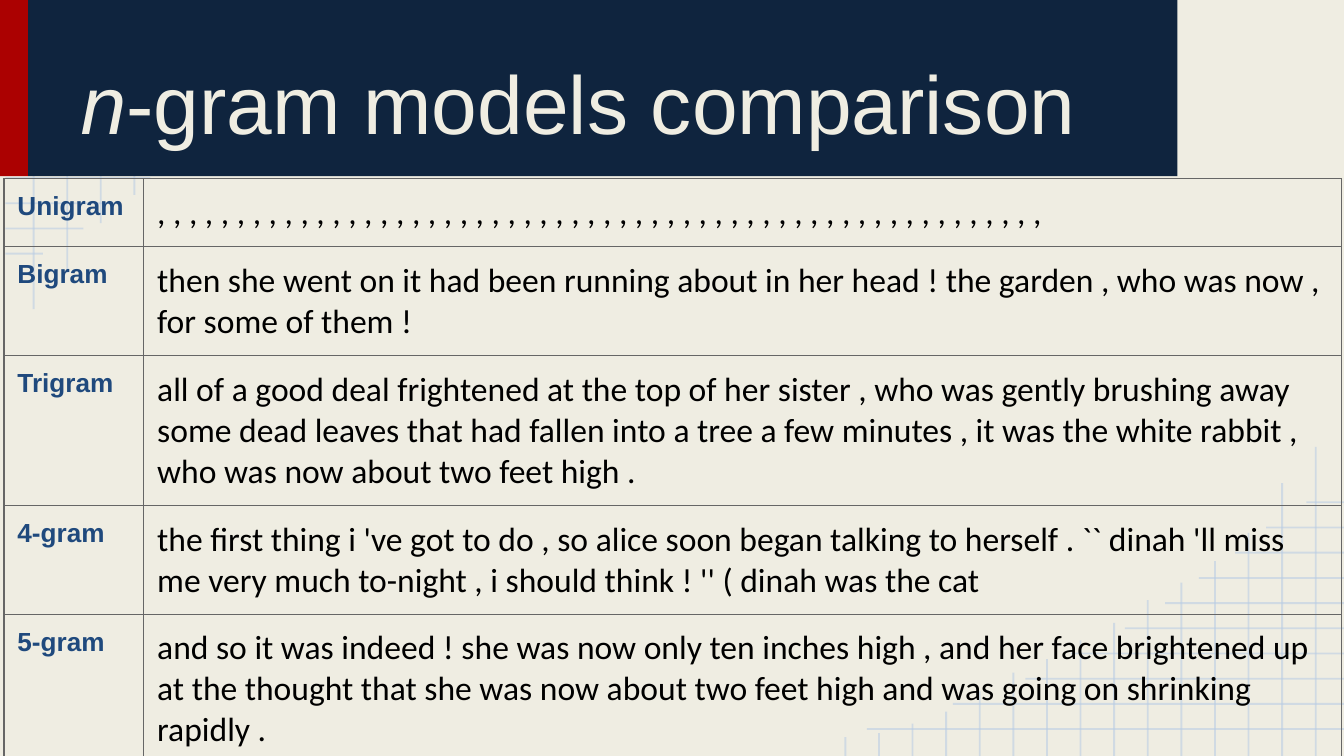
"""Build the n-gram models comparison slide."""
from typing import NamedTuple

from lxml import etree
from pptx import Presentation
from pptx.dml.color import RGBColor
from pptx.enum.shapes import MSO_CONNECTOR, MSO_SHAPE
from pptx.enum.text import MSO_ANCHOR, MSO_AUTO_SIZE, PP_ALIGN
from pptx.oxml.ns import qn
from pptx.util import Inches, Pt

STRAIGHT = MSO_CONNECTOR.STRAIGHT
RECTANGLE = MSO_SHAPE.RECTANGLE
BOTTOM, TOP = MSO_ANCHOR.BOTTOM, MSO_ANCHOR.TOP
LEFT = PP_ALIGN.LEFT
NO_FIT = MSO_AUTO_SIZE.NONE

COLORS = {
    "paper": "EFEDE2",
    "grid": "B7CCE4",
    "red": "AB0101",
    "navy": "0F243E",
    "label": "1F497D",
    "body": "000000",
    "border": "666666",
}
WIDTH = 10
HEIGHT = WIDTH * 9 / 16
INSET = Inches(0.1)
GRID_LEFT = 0.04
GRID_RIGHTS = [3.59, 2.95, 2.41, 2.07, 1.67, 1.37, 1.12, 0.85, 0.62, 0.32]
GRID_BOTTOMS = [2.3, 2.03, 1.66, 1.45, 1.29, 1.16, 0.99, 0.86,
                0.72, 0.62, 0.48, 0.33, 0.24, 0.17, 0.14]
ROW_GAP = 1.5 / 8
COLUMN_GAP = 0.25


class GridLine(NamedTuple):
    x1: float
    y1: float
    x2: float
    y2: float

    def turned(self) -> "GridLine":
        """Return the line turned half way round into the opposite corner."""
        right = WIDTH + GRID_LEFT
        return GridLine(right - self.x1, HEIGHT - self.y1,
                        right - self.x2, HEIGHT - self.y2)


class Band(NamedTuple):
    left: float
    width: float
    color: str


class Model(NamedTuple):
    name: str
    sample: str
    height: float


class TextStyle(NamedTuple):
    font: str
    size: float
    color: str
    bold: bool = False


BANDS = [Band(0, 0.21, "red"), Band(0.21, 8.55, "navy")]
TITLE_STYLE = TextStyle("Arial", 44, "paper")
COLUMN_STYLES = [TextStyle("Arial", 14, "label", True), TextStyle("Calibri", 18, "body")]
COLUMN_WIDTHS = [1.04, 8.91]
MODELS = [
    Model("Unigram", " ".join("," * 56), 0.3),
    Model("Bigram", "then she went on it had been running about in her head ! the garden , "
          "who was now , for some of them !", 0.52),
    Model("Trigram", "all of a good deal frightened at the top of her sister , who was gently "
          "brushing away some dead leaves that had fallen into a tree a few minutes , it was "
          "the white rabbit , who was now about two feet high .", 0.42),
    Model("4-gram", "the first thing i 've got to do , so alice soon began talking to herself . "
          "`` dinah 'll miss me very much to-night , i should think ! '' ( dinah was the cat", 0.42),
    Model("5-gram", "and so it was indeed ! she was now only ten inches high , and her face "
          "brightened up at the thought that she was now about two feet high and was going on "
          "shrinking rapidly .", 0.42),
]


def rgb(name: str) -> RGBColor:
    """Look up a palette colour."""
    return RGBColor.from_string(COLORS[name])


def style_span(span, style: TextStyle) -> None:
    """Apply a text style to a run."""
    span.font.name = style.font
    span.font.size = Pt(style.size)
    span.font.bold = style.bold
    span.font.color.rgb = rgb(style.color)


def draw_grid_line(page, grid_line: GridLine) -> None:
    """Draw one translucent grid line."""
    line = page.shapes.add_connector(STRAIGHT, *(Inches(value) for value in grid_line))
    line.line.width = Pt(1)
    line.line.color.rgb = rgb("grid")
    properties = line.element.spPr
    color = properties.find(".//" + qn("a:srgbClr"))
    etree.SubElement(color, qn("a:alpha"), val="54000")
    etree.SubElement(properties, qn("a:effectLst"))


def draw_grids(page) -> None:
    """Draw the grid in the top left corner and its turned twin."""
    rows = [GridLine(GRID_LEFT, 0.2 + ROW_GAP * index, right, 0.2 + ROW_GAP * index)
            for index, right in enumerate(GRID_RIGHTS)]
    columns = [GridLine(COLUMN_GAP * index, bottom, COLUMN_GAP * index, 0)
               for index, bottom in enumerate(GRID_BOTTOMS, start=1)]
    grid = rows + columns
    for grid_line in grid + [item.turned() for item in grid]:
        draw_grid_line(page, grid_line)


def draw_band(page, band: Band) -> None:
    """Draw one block of the header."""
    box = page.shapes.add_shape(RECTANGLE, Inches(band.left), Inches(-0.01),
                                Inches(band.width), Inches(1.32))
    box.shadow.inherit = False
    box.fill.solid()
    box.fill.fore_color.rgb = rgb(band.color)
    box.line.fill.background()


def draw_title(page) -> None:
    """Place the title in front of the header blocks."""
    title = page.shapes.title
    page.shapes.element.append(title.element)
    title.left, title.top = Inches(0.5), Inches(0.11)
    title.width, title.height = Inches(8), Inches(1.11)
    frame = title.text_frame
    frame.auto_size = NO_FIT
    frame.word_wrap = True
    frame.vertical_anchor = BOTTOM
    frame.margin_left = frame.margin_right = INSET
    frame.margin_top = frame.margin_bottom = INSET
    para = frame.paragraphs[0]
    para.alignment = LEFT
    for text, italic in (("n", True), ("-gram models comparison", False)):
        span = para.add_run()
        span.text = text
        style_span(span, TITLE_STYLE)
        span.font.italic = italic


def add_borders(cell) -> None:
    """Outline a cell on all four sides."""
    properties = cell._tc.get_or_add_tcPr()
    for side in ("lnL", "lnR", "lnT", "lnB"):
        border = etree.SubElement(properties, qn(f"a:{side}"), w=str(Pt(0.75)))
        fill = etree.SubElement(border, qn("a:solidFill"))
        etree.SubElement(fill, qn("a:srgbClr"), val=COLORS["border"])


def fill_cell(cell, text: str, style: TextStyle) -> None:
    """Write and format one table cell."""
    add_borders(cell)
    cell.fill.background()
    cell.vertical_anchor = TOP
    cell.margin_left = cell.margin_right = INSET
    cell.margin_top = cell.margin_bottom = INSET
    cell.text_frame.text = text
    style_span(cell.text_frame.paragraphs[0].runs[0], style)


def draw_table(page) -> None:
    """Draw the table of sample texts, whose rows grow with their text."""
    frame = page.shapes.add_table(
        len(MODELS), len(COLUMN_WIDTHS), Inches(0.03), Inches(1.33),
        Inches(sum(COLUMN_WIDTHS)), Inches(sum(model.height for model in MODELS)))
    table = frame.table
    table.first_row = table.horz_banding = False
    for column, width in zip(table.columns, COLUMN_WIDTHS):
        column.width = Inches(width)
    for row, model in zip(table.rows, MODELS):
        row.height = Inches(model.height)
        for cell, text, style in zip(row.cells, (model.name, model.sample), COLUMN_STYLES):
            fill_cell(cell, text, style)


def main() -> None:
    """Build and save the deck."""
    deck = Presentation()
    deck.slide_width, deck.slide_height = Inches(WIDTH), Inches(HEIGHT)
    page = deck.slides.add_slide(deck.slide_layouts[5])
    page.background.fill.solid()
    page.background.fill.fore_color.rgb = rgb("paper")
    draw_grids(page)
    for band in BANDS:
        draw_band(page, band)
    draw_title(page)
    draw_table(page)
    deck.save("out.pptx")


if __name__ == "__main__":
    main()
